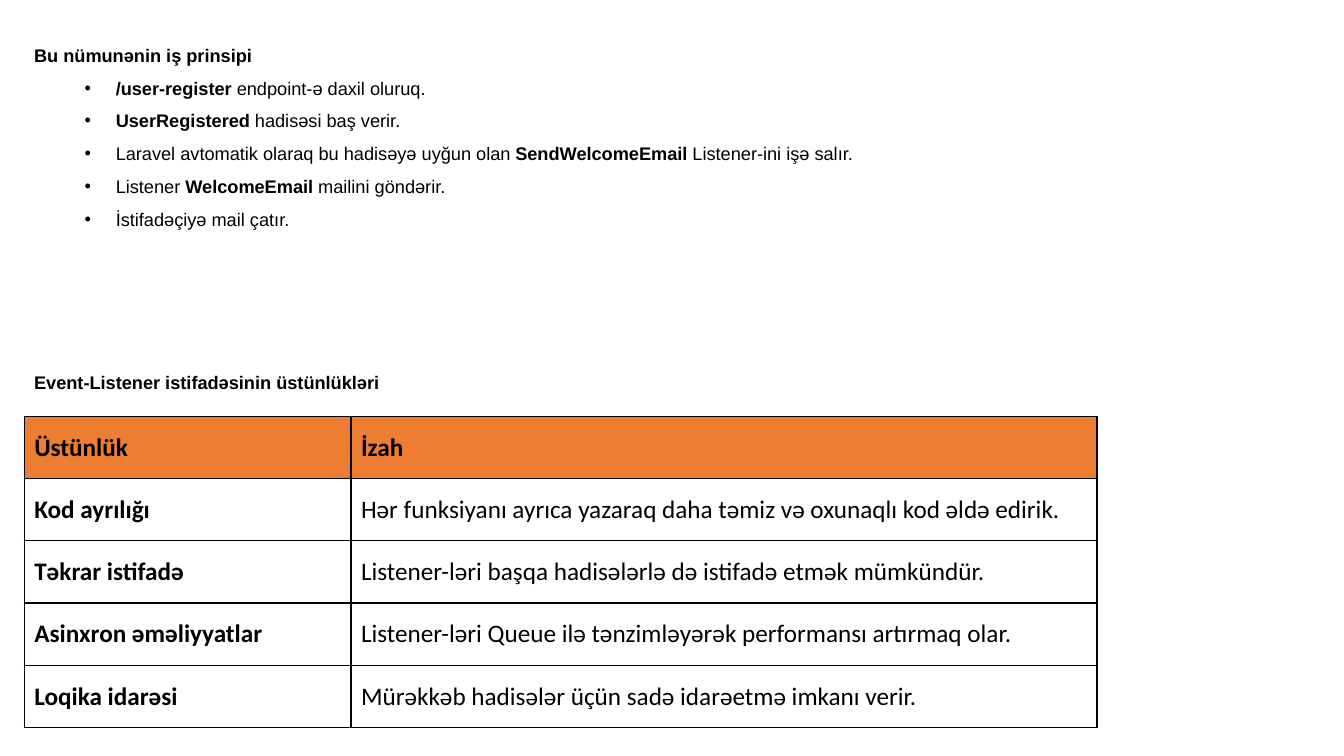
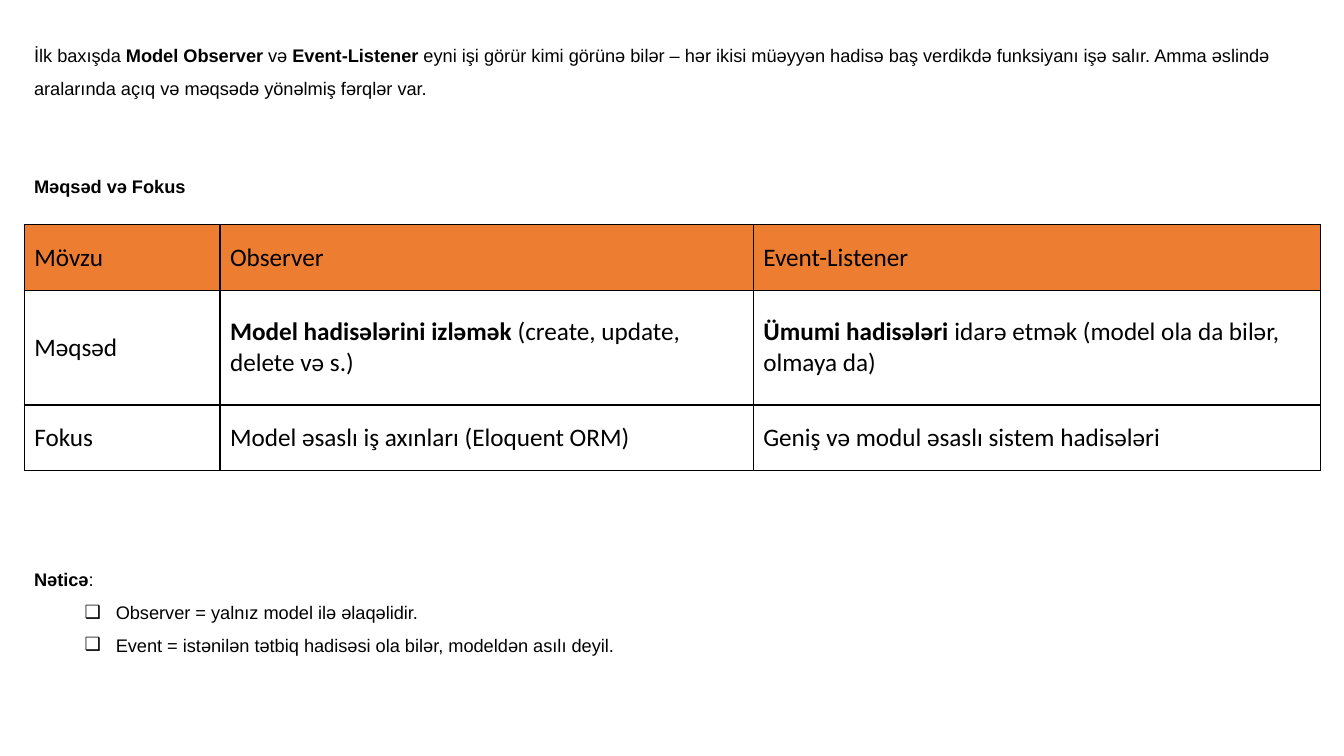
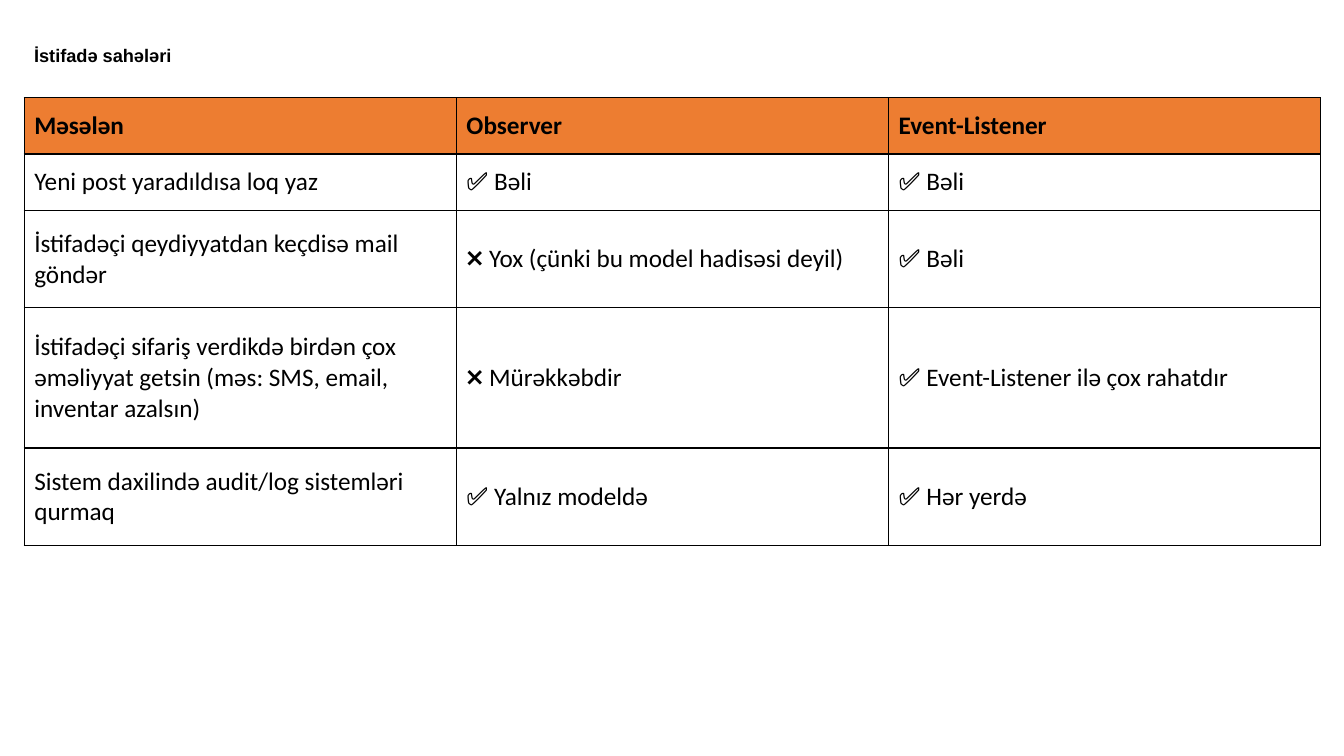
from lxml import etree
from pptx import Presentation
from pptx.dml.color import RGBColor
from pptx.enum.text import MSO_ANCHOR
from pptx.oxml.ns import qn
from pptx.util import Inches, Pt

MIDDLE = MSO_ANCHOR.MIDDLE
BLACK = RGBColor(0x00, 0x00, 0x00)
WHITE = RGBColor(0xFF, 0xFF, 0xFF)
ORANGE = RGBColor(0xED, 0x7D, 0x31)


class Deck:
    """Slides on a grid: 100 columns wide, rows one text line high."""

    LEFT, TOP = 0.24, 0.28
    COLUMN, ROW = 0.1286, 0.325
    TEXT_FONT, TEXT_SIZE = "Arial", Pt(13)
    TABLE_FONT, TABLE_SIZE = "Calibri", Pt(18)

    def __init__(self):
        self.prs = Presentation()
        self.prs.slide_width = Inches(13.33)
        self.prs.slide_height = Inches(7.5)
        self.slide = None

    def add_slide(self):
        self.slide = self.prs.slides.add_slide(self.prs.slide_layouts[6])

    def columns(self, count):
        return Inches(count * self.COLUMN)

    def rows(self, count):
        return Inches(count * self.ROW)

    def place(self, row):
        """Left and top of an element that starts on a grid row."""
        return Inches(self.LEFT), Inches(self.TOP) + self.rows(row)

    def add_runs(self, paragraph, marked, font, size):
        """Fill a paragraph; parts between ** marks are bold."""
        for position, part in enumerate(marked.split("**")):
            if part:
                run = paragraph.add_run()
                run.text = part
                run.font.name, run.font.size = font, size
                run.font.bold = position % 2 == 1
                run.font.color.rgb = BLACK

    def bullet(self, paragraph, mark):
        paragraph.level = 1
        properties = paragraph._p.get_or_add_pPr()
        properties.set("marL", str(Inches(0.81)))
        properties.set("indent", str(Inches(-0.31)))
        etree.SubElement(properties, qn("a:buFont"), typeface=self.TEXT_FONT)
        etree.SubElement(properties, qn("a:buChar"), char=mark)

    def text(self, row, lead, items=(), mark="•", lines=1):
        """A lead paragraph of some lines, with a bulleted list below it."""
        height = self.rows(lines + len(items)) + Inches(0.1)
        frame = self.slide.shapes.add_textbox(
            *self.place(row), self.columns(100), height).text_frame
        frame.word_wrap = True
        for number, content in enumerate([lead, *items]):
            paragraph = frame.add_paragraph() if number else frame.paragraphs[0]
            if number:
                self.bullet(paragraph, mark)
            paragraph.line_spacing = 1.5
            self.add_runs(paragraph, content, self.TEXT_FONT, self.TEXT_SIZE)

    def border(self, cell):
        properties = cell._tc.get_or_add_tcPr()
        for side in ("a:lnL", "a:lnR", "a:lnT", "a:lnB"):
            line = etree.SubElement(properties, qn(side), w=str(Pt(1)))
            fill = etree.SubElement(line, qn("a:solidFill"))
            etree.SubElement(fill, qn("a:srgbClr"), val=str(BLACK))

    def table(self, row, widths, heights, content):
        table = self.slide.shapes.add_table(
            len(heights), len(widths), *self.place(row),
            self.columns(sum(widths)), self.rows(sum(heights))).table
        table.horz_banding = False
        for column, width in zip(table.columns, widths):
            column.width = self.columns(width)
        for number, (line, height) in enumerate(zip(table.rows, heights)):
            line.height = self.rows(height)
            for cell, marked in zip(line.cells, content[number]):
                self.border(cell)
                cell.fill.solid()
                cell.fill.fore_color.rgb = WHITE if number else ORANGE
                cell.vertical_anchor = MIDDLE
                self.add_runs(cell.text_frame.paragraphs[0], marked,
                              self.TABLE_FONT, self.TABLE_SIZE)


def add_advantages(deck):
    deck.add_slide()
    deck.text(0, "**Bu nümunənin iş prinsipi**", [
        "**/user-register **endpoint-ə daxil oluruq.",
        "**UserRegistered** hadisəsi baş verir.",
        "Laravel avtomatik olaraq bu hadisəyə uyğun olan "
        "**SendWelcomeEmail** Listener-ini işə salır.",
        "Listener **WelcomeEmail** mailini göndərir.",
        "İstifadəçiyə mail çatır.",
    ])
    deck.text(10, "**Event-Listener istifadəsinin üstünlükləri**")
    deck.table(11.85, [25.2, 57.54], [1.9] * 5, [
        ["**Üstünlük**", "**İzah**"],
        ["**Kod ayrılığı**",
         "Hər funksiyanı ayrıca yazaraq daha təmiz və oxunaqlı kod əldə edirik."],
        ["**Təkrar istifadə**",
         "Listener-ləri başqa hadisələrlə də istifadə etmək mümkündür."],
        ["**Asinxron əməliyyatlar**",
         "Listener-ləri Queue ilə tənzimləyərək performansı artırmaq olar."],
        ["**Loqika idarəsi**",
         "Mürəkkəb hadisələr üçün sadə idarəetmə imkanı verir."],
    ])


def add_purpose(deck):
    deck.add_slide()
    deck.text(0, "İlk baxışda **Model Observer **və **Event-Listener** eyni işi "
              "görür kimi görünə bilər – hər ikisi müəyyən hadisə baş verdikdə "
              "funksiyanı işə salır. Amma əslində aralarında açıq və məqsədə "
              "yönəlmiş fərqlər var.", lines=2)
    deck.text(4, "**Məqsəd və Fokus**")
    deck.table(6, [15.1, 41.13, 43.77], [2, 3.5, 2], [
        ["Mövzu", "Observer", "Event-Listener"],
        ["Məqsəd",
         "**Model hadisələrini izləmək** (create, update, delete və s.)",
         "**Ümumi hadisələri** idarə etmək (model ola da bilər, olmaya da)"],
        ["Fokus", "Model əsaslı iş axınları (Eloquent ORM)",
         "Geniş və modul əsaslı sistem hadisələri"],
    ])
    deck.text(16, "**Nəticə**:", [
        "Observer = yalnız model ilə əlaqəlidir.",
        "Event = istənilən tətbiq hadisəsi ola bilər, modeldən asılı deyil.",
    ], mark="❑")


def add_use_cases(deck):
    deck.add_slide()
    deck.text(0, "**İstifadə sahələri**")
    deck.table(2.12, [100 / 3] * 3, [1.72, 1.72, 2.98, 4.28, 2.98], [
        ["**Məsələn**", "**Observer**", "**Event-Listener**"],
        ["Yeni post yaradıldısa loq yaz", "✅ Bəli", "✅ Bəli"],
        ["İstifadəçi qeydiyyatdan keçdisə mail göndər",
         "❌ Yox (çünki bu model hadisəsi deyil)", "✅ Bəli"],
        ["İstifadəçi sifariş verdikdə birdən çox əməliyyat getsin "
         "(məs: SMS, email, inventar azalsın)",
         "❌ Mürəkkəbdir", "✅ Event-Listener ilə çox rahatdır"],
        ["Sistem daxilində audit/log sistemləri qurmaq",
         "✅ Yalnız modeldə", "✅ Hər yerdə"],
    ])


def main():
    deck = Deck()
    add_advantages(deck)
    add_purpose(deck)
    add_use_cases(deck)
    deck.prs.save("out.pptx")


if __name__ == "__main__":
    main()
